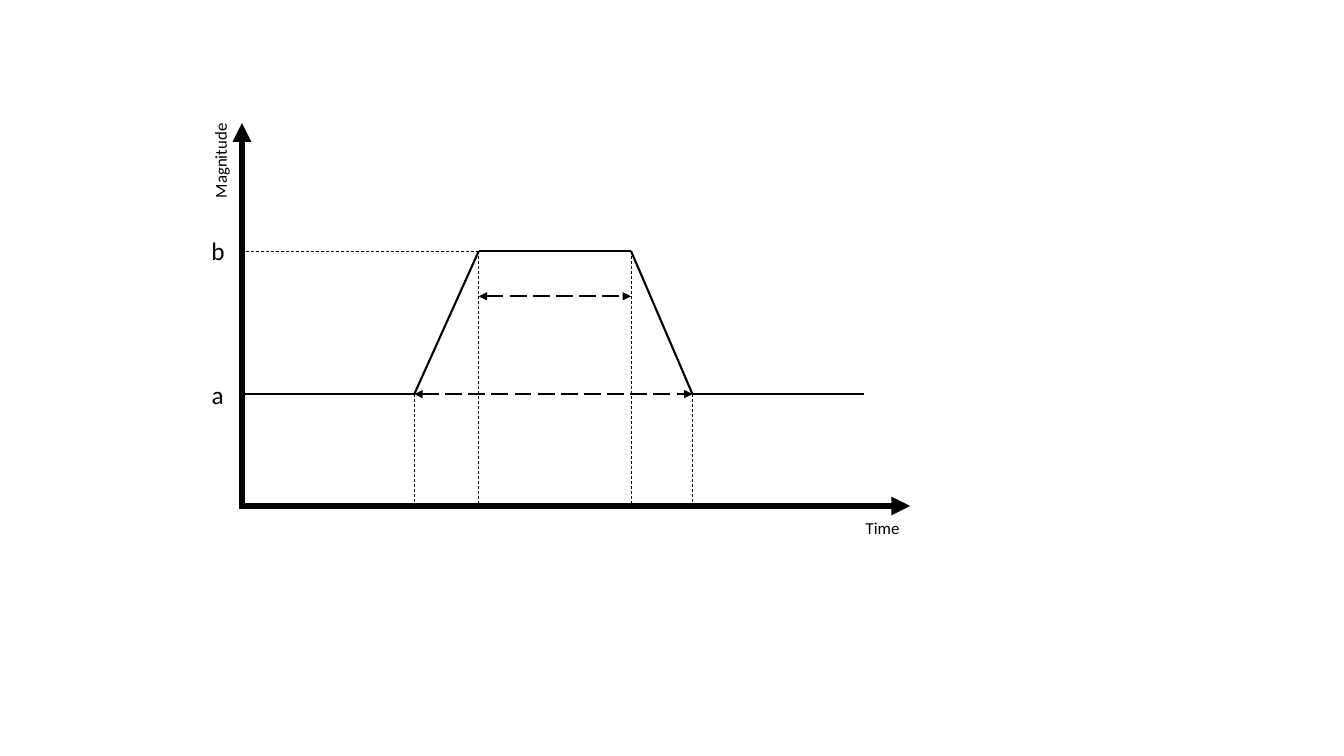
from dataclasses import dataclass
from itertools import pairwise
from typing import Optional

import pptx
import pptx.dml.color
import pptx.enum.dml
import pptx.enum.shapes
import pptx.enum.text
import pptx.oxml.ns
import pptx.presentation
import pptx.shapes.connector
import pptx.slide
import pptx.util
from lxml import etree

BLACK = pptx.dml.color.RGBColor(0x00, 0x00, 0x00)
FONT = "Calibri"
DASH = pptx.enum.dml.MSO_LINE.DASH
LONG_DASH = pptx.enum.dml.MSO_LINE.LONG_DASH

# Square grid cells, ten to the inch
CELL = pptx.util.Inches(0.1)
SLIDE_COLUMNS, SLIDE_ROWS = 133.33, 75

# Columns of the time axis and rows of the magnitude axis
ORIGIN, RISE_START, RISE_END, FALL_START, FALL_END, SIGNAL_END = (
    24, 41.1, 47.5, 62.6, 68.7, 85.7)
LEVEL_B, PLATEAU_SPAN, LEVEL_A, BASELINE = 24.9, 29.4, 39.1, 50.2

Point = tuple[float, float]


@dataclass(frozen=True)
class LineStyle:
    width: float
    dash: Optional[pptx.enum.dml.MSO_LINE] = None
    arrows: tuple[str, ...] = ()


@dataclass(frozen=True)
class Line:
    start: Point
    end: Point
    style: LineStyle


@dataclass(frozen=True)
class Label:
    text: str
    column: float
    row: float
    columns: float
    rows: float
    size: int
    rotation: int = 0


AXIS = LineStyle(4.5, arrows=("tailEnd",))
SIGNAL = LineStyle(1.5)
GUIDE = LineStyle(0.5, DASH)
SPAN = LineStyle(1.5, LONG_DASH, ("headEnd", "tailEnd"))

AXES = [
    Line((ORIGIN, 49.9), (ORIGIN, 12.2), AXIS),
    Line((23.7, BASELINE), (90.3, BASELINE), AXIS),
]
SIGNAL_POINTS = [
    (ORIGIN, LEVEL_A), (RISE_START, LEVEL_A), (RISE_END, LEVEL_B),
    (FALL_START, LEVEL_B), (FALL_END, LEVEL_A), (SIGNAL_END, LEVEL_A),
]
SIGNAL_LINES = [Line(start, end, SIGNAL) for start, end in pairwise(SIGNAL_POINTS)]
LEVEL_GUIDE = Line((RISE_END, LEVEL_B), (ORIGIN, LEVEL_B), GUIDE)
TIME_GUIDES = [Line(corner, (corner[0], BASELINE), GUIDE)
               for corner in SIGNAL_POINTS[1:-1]]
SPANS = [
    Line((RISE_START, LEVEL_A), (FALL_END, LEVEL_A), SPAN),
    Line((RISE_END, PLATEAU_SPAN), (FALL_START, PLATEAU_SPAN), SPAN),
]
LABELS = [
    Label("a", 20, 37.1, 3.2, 4, 18),
    Label("b", 20, 22.9, 3.4, 4, 18),
    Label("Time", 84.9, 50.9, 5.4, 3, 12),
    Label("Magnitude", 17.1, 14.4, 9.5, 3, 12, rotation=270),
]


def cells(count: float) -> pptx.util.Emu:
    return pptx.util.Emu(round(count * CELL))


def draw_line(slide: pptx.slide.Slide, line: Line) -> pptx.shapes.connector.Connector:
    connector = slide.shapes.add_connector(
        pptx.enum.shapes.MSO_CONNECTOR.STRAIGHT,
        *(cells(count) for count in line.start + line.end))
    connector.line.color.rgb = BLACK
    connector.line.width = pptx.util.Pt(line.style.width)
    if line.style.dash is not None:
        connector.line.dash_style = line.style.dash
    properties = connector._element.spPr
    outline = properties.find(pptx.oxml.ns.qn("a:ln"))
    for arrow in line.style.arrows:
        etree.SubElement(outline, pptx.oxml.ns.qn(f"a:{arrow}"), type="triangle")
    etree.SubElement(properties, pptx.oxml.ns.qn("a:effectLst"))
    return connector


def draw_label(slide: pptx.slide.Slide, label: Label) -> None:
    box = slide.shapes.add_textbox(
        cells(label.column), cells(label.row), cells(label.columns), cells(label.rows))
    box.rotation = label.rotation
    text_frame = box.text_frame
    text_frame.text = label.text
    text_frame.word_wrap = False
    text_frame.auto_size = pptx.enum.text.MSO_AUTO_SIZE.SHAPE_TO_FIT_TEXT
    font = text_frame.paragraphs[0].runs[0].font
    font.name = FONT
    font.size = pptx.util.Pt(label.size)
    font.color.rgb = BLACK


def build_presentation() -> pptx.presentation.Presentation:
    presentation = pptx.Presentation()
    presentation.slide_width = cells(SLIDE_COLUMNS)
    presentation.slide_height = cells(SLIDE_ROWS)
    slide = presentation.slides.add_slide(presentation.slide_layouts[6])
    for line in [*AXES, *SIGNAL_LINES, LEVEL_GUIDE, *TIME_GUIDES]:
        draw_line(slide, line)
    for label in LABELS:
        draw_label(slide, label)
    for line in SPANS:
        draw_line(slide, line)
    return presentation


def main() -> None:
    build_presentation().save("out.pptx")


if __name__ == "__main__":
    main()
